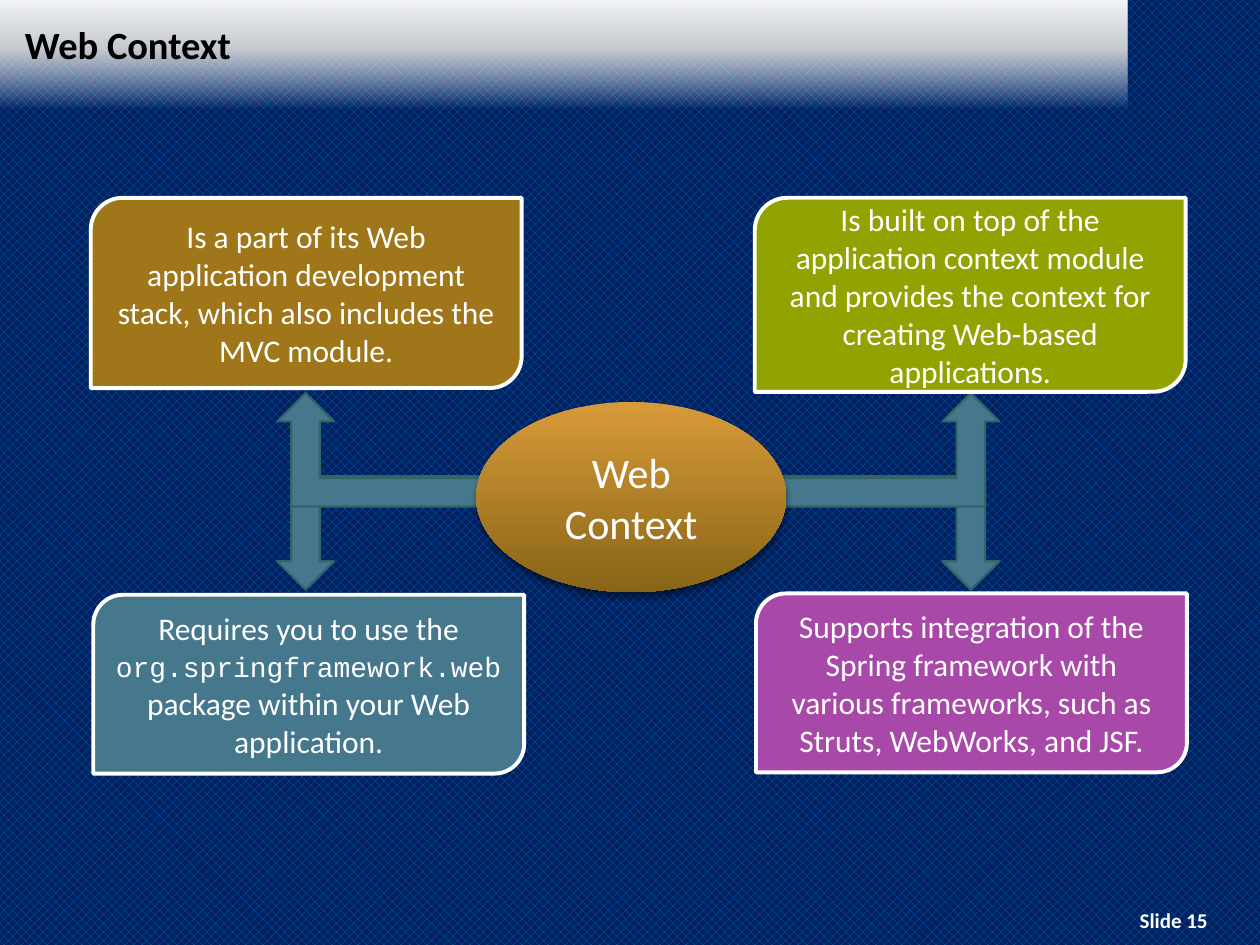
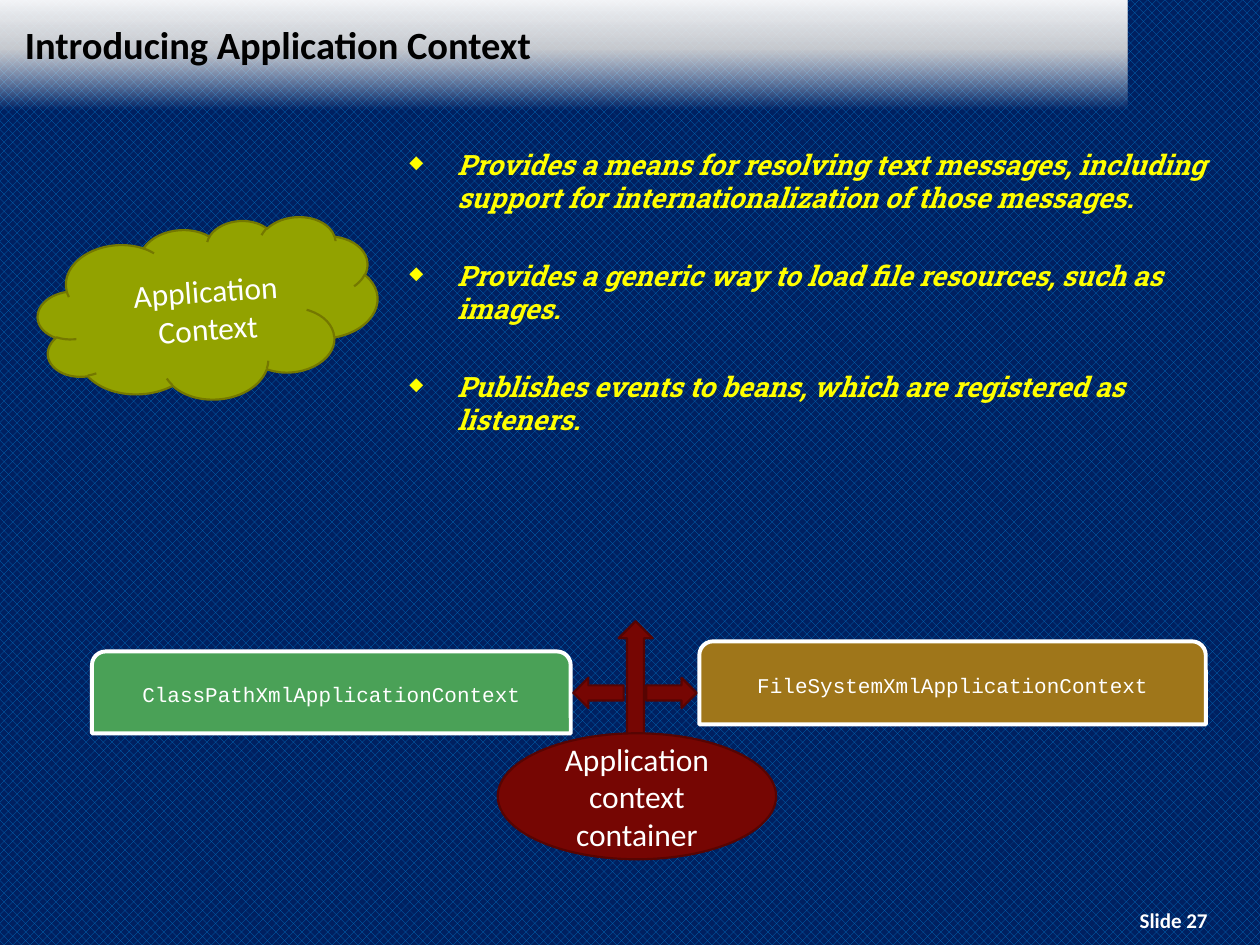
from dataclasses import dataclass
from itertools import product
from typing import NamedTuple

from lxml.etree import SubElement
from pptx import Presentation
from pptx.dml.color import RGBColor
from pptx.enum.dml import MSO_PATTERN as Pattern
from pptx.enum.shapes import MSO_SHAPE as Preset
from pptx.enum.text import MSO_ANCHOR as Anchor, PP_ALIGN as Align
from pptx.oxml.ns import qn
from pptx.util import Inches, Pt

COLUMNS, ROWS = 100, 75
CELL = Inches(0.1)

NAVY = RGBColor(0x00, 0x20, 0x60)
HATCH_BLUE = RGBColor(0x00, 0x70, 0xC0)
WHITE = RGBColor(0xFF, 0xFF, 0xFF)
BLACK = RGBColor(0x00, 0x00, 0x00)
SILVER = RGBColor(0xD9, 0xD9, 0xD9)
YELLOW = RGBColor(0xFF, 0xFF, 0x00)
TEAL = RGBColor(0x46, 0x78, 0x8D)
DARK_TEAL = RGBColor(0x34, 0x63, 0x68)
BROWN = RGBColor(0x9F, 0x76, 0x1A)
OLIVE = RGBColor(0x92, 0xA2, 0x00)
DARK_OLIVE = RGBColor(0x74, 0x78, 0x00)
PURPLE = RGBColor(0xA8, 0x48, 0xA8)
GREEN = RGBColor(0x4A, 0xA1, 0x57)
MAROON = RGBColor(0x76, 0x06, 0x03)
DARK_MAROON = RGBColor(0x57, 0x04, 0x02)
AMBER = RGBColor(0xD8, 0x9A, 0x39)
DARK_AMBER = RGBColor(0x88, 0x65, 0x16)

BODY_FONT, CODE_FONT, ACCENT_FONT = "Calibri", "Courier New", "Roboto Slab"


class Area(NamedTuple):
    column: float
    row: float
    columns: float
    rows: float

    def lengths(self) -> list[int]:
        return [round(value * CELL) for value in self]


class Stop(NamedTuple):
    percent: int
    color: RGBColor
    opacity: int = 100


class Style(NamedTuple):
    fill: RGBColor
    line: RGBColor
    width: float = 1.25


@dataclass(frozen=True)
class Card:
    area: Area
    fill: RGBColor
    text: str


BAND = Area(0, -0.1, 89.5, 8.8)
BAND_STOPS = (Stop(0, WHITE, 0), Stop(54, SILVER, 90), Stop(100, WHITE, 95))
TITLE = Area(1, 0.9, 87.7, 5.2)
FOOTER = Area(87.3, 71.5, 11.7, 3)

TEAL_STYLE = Style(TEAL, DARK_TEAL)
OLIVE_STYLE = Style(OLIVE, DARK_OLIVE)
MAROON_STYLE = Style(MAROON, DARK_MAROON)

WEB_CARDS = (
    Card(Area(7.2, 15.7, 34.2, 15.1), BROWN,
         "Is a part of its Web application development stack, "
         "which also includes the MVC module."),
    Card(Area(59.9, 15.7, 34.2, 15.4), OLIVE,
         "Is built on top of the application context module and provides "
         "the context for creating Web-based applications."),
    Card(Area(60, 47.1, 34.2, 14.2), PURPLE,
         "Supports integration of the Spring framework with various "
         "frameworks, such as Struts, WebWorks, and JSF."),
    Card(Area(7.4, 47.2, 34.2, 14.2), TEAL,
         "Requires you to use the `org.springframework.web` package "
         "within your Web application."),
)

CONTAINER_CARDS = (
    Card(Area(55.5, 50.9, 40.2, 6.6), BROWN, "`FileSystemXmlApplicationContext`"),
    Card(Area(7.3, 51.7, 38, 6.5), GREEN, "`ClassPathXmlApplicationContext`"),
)

FEATURES = (
    "Provides a means for resolving text messages, including support for "
    "internationalization of those messages.",
    "Provides a generic way to load file resources, such as images.",
    "Publishes events to beans, which are registered as listeners.",
)


def write(shape, *paragraphs: str, size: float = 18, code_size: float = 16,
          font: str = BODY_FONT, color: RGBColor = WHITE, bold: bool = False,
          italic: bool = False, align: Align = Align.CENTER,
          anchor: Anchor = Anchor.MIDDLE, gap: float = 0) -> None:
    frame = shape.text_frame
    frame.word_wrap = True
    frame.vertical_anchor = anchor
    for index, text in enumerate(paragraphs):
        paragraph = frame.add_paragraph() if index else frame.paragraphs[0]
        paragraph.alignment = align
        if index:
            paragraph.space_before = Pt(gap)
        for position, piece in enumerate(text.split("`")):
            if not piece:
                continue
            is_code = position % 2 == 1
            run = paragraph.add_run()
            run.text = piece
            run.font.name = CODE_FONT if is_code else font
            run.font.size = Pt(code_size if is_code else size)
            run.font.bold, run.font.italic = bold, italic
            run.font.color.rgb = color


def add_text(shapes, area: Area, *paragraphs: str, **text_format):
    box = shapes.add_textbox(*area.lengths())
    write(box, *paragraphs, **text_format)
    return box


def add_preset(shapes, preset: Preset, area: Area, style: Style | None = None,
               flip_h: bool = False, flip_v: bool = False):
    shape = shapes.add_shape(preset, *area.lengths())
    shape.shadow.inherit = False
    if style:
        shape.fill.solid()
        shape.fill.fore_color.rgb = style.fill
        shape.line.color.rgb = style.line
        shape.line.width = Pt(style.width)
    else:
        shape.line.fill.background()
    for name, flipped in (("flipH", flip_h), ("flipV", flip_v)):
        if flipped:
            shape._element.spPr.xfrm.set(name, "1")
    return shape


def add_color(parent, color: RGBColor, opacity: int) -> None:
    element = SubElement(parent, qn("a:srgbClr"), val=str(color))
    SubElement(element, qn("a:alpha"), val=str(opacity * 1000))


def fill_gradient(shape, stops: tuple[Stop, ...], angle: float) -> None:
    shape.fill.gradient()
    shape.fill.gradient_angle = angle
    stop_list = shape._element.spPr.find(qn("a:gradFill")).find(qn("a:gsLst"))
    for element in list(stop_list):
        stop_list.remove(element)
    for stop in stops:
        element = SubElement(stop_list, qn("a:gs"), pos=str(stop.percent * 1000))
        add_color(element, stop.color, stop.opacity)


def drop_shadow(shape, blur: float, distance: float, opacity: int) -> None:
    effects = shape._element.spPr.find(qn("a:effectLst"))
    shadow = SubElement(effects, qn("a:outerShdw"), blurRad=str(Pt(blur)),
                        dist=str(Pt(distance)), dir="5400000", rotWithShape="0")
    add_color(shadow, BLACK, opacity)


def add_bullets(shape, color: RGBColor, indent: int) -> None:
    for paragraph in shape.text_frame.paragraphs:
        properties = paragraph._p.get_or_add_pPr()
        properties.set("marL", str(indent))
        properties.set("indent", str(-indent))
        add_color(SubElement(properties, qn("a:buClr")), color, 100)
        SubElement(properties, qn("a:buSzPct"), val="65000")
        SubElement(properties, qn("a:buChar"), char="◆")


def add_cards(shapes, cards: tuple[Card, ...], preset: Preset, **text_format) -> None:
    for card in cards:
        shape = add_preset(shapes, preset, card.area, Style(card.fill, WHITE, 2.25))
        write(shape, card.text, **text_format)


def add_slide(presentation, title: str, number: int):
    slide = presentation.slides.add_slide(presentation.slide_layouts[6])
    background = slide.background.fill
    background.patterned()
    background.pattern = Pattern.PERCENT_50
    background.fore_color.rgb = HATCH_BLUE
    background.back_color.rgb = NAVY
    band = add_preset(slide.shapes, Preset.RECTANGLE, BAND)
    fill_gradient(band, BAND_STOPS, 90)
    add_text(slide.shapes, FOOTER, f"Slide {number}", size=12, bold=True,
             anchor=Anchor.TOP)
    add_text(slide.shapes, TITLE, title, size=22, color=BLACK, bold=True,
             align=Align.LEFT)
    return slide


def build_web_context(presentation) -> None:
    shapes = add_slide(presentation, "Web Context", 15).shapes
    for (column, is_left), (row, is_lower) in product(
            ((22, True), (57.8, False)), ((37.8, True), (31.2, False))):
        add_preset(shapes, Preset.BENT_UP_ARROW, Area(column, row, 21.5, 9),
                   TEAL_STYLE, flip_h=is_left, flip_v=is_lower)
    hub = add_preset(shapes, Preset.OVAL, Area(37.8, 31.9, 24.6, 15.1))
    fill_gradient(hub, (Stop(0, AMBER), Stop(100, DARK_AMBER)), 270)
    drop_shadow(hub, blur=4, distance=3, opacity=46)
    write(hub, "Web Context", size=24)
    add_cards(shapes, WEB_CARDS, Preset.ROUND_2_DIAG_RECTANGLE)


def build_application_context(presentation) -> None:
    shapes = add_slide(presentation, "Introducing Application Context", 27).shapes
    add_preset(shapes, Preset.UP_ARROW, Area(49.1, 49.3, 2.7, 9.1), MAROON_STYLE)

    group = shapes.add_group_shape()
    cloud = add_preset(group.shapes, Preset.CLOUD, Area(3, 17.7, 27, 14), OLIVE_STYLE)
    label = add_text(group.shapes, Area(7.6, 20, 17.6, 9.1), "Application Context")
    cloud.rotation = label.rotation = 356

    features = add_text(shapes, Area(31.5, 11.2, 66.3, 27.4), *FEATURES, size=16,
                        font=ACCENT_FONT, color=YELLOW, bold=True, italic=True,
                        align=Align.LEFT, anchor=Anchor.TOP, gap=25)
    add_bullets(features, YELLOW, round(3.8 * CELL))

    container = add_preset(shapes, Preset.OVAL, Area(39.5, 58.2, 22.1, 10), MAROON_STYLE)
    write(container, "Application context container")
    add_cards(shapes, CONTAINER_CARDS, Preset.ROUND_2_SAME_RECTANGLE, code_size=12)
    for column, points_right in ((45.5, False), (51.3, True)):
        add_preset(shapes, Preset.LEFT_ARROW, Area(column, 53.8, 4, 2.4),
                   MAROON_STYLE, flip_h=points_right)


def main() -> None:
    presentation = Presentation()
    presentation.slide_width = COLUMNS * CELL
    presentation.slide_height = ROWS * CELL
    build_web_context(presentation)
    build_application_context(presentation)
    presentation.save("out.pptx")


if __name__ == "__main__":
    main()
